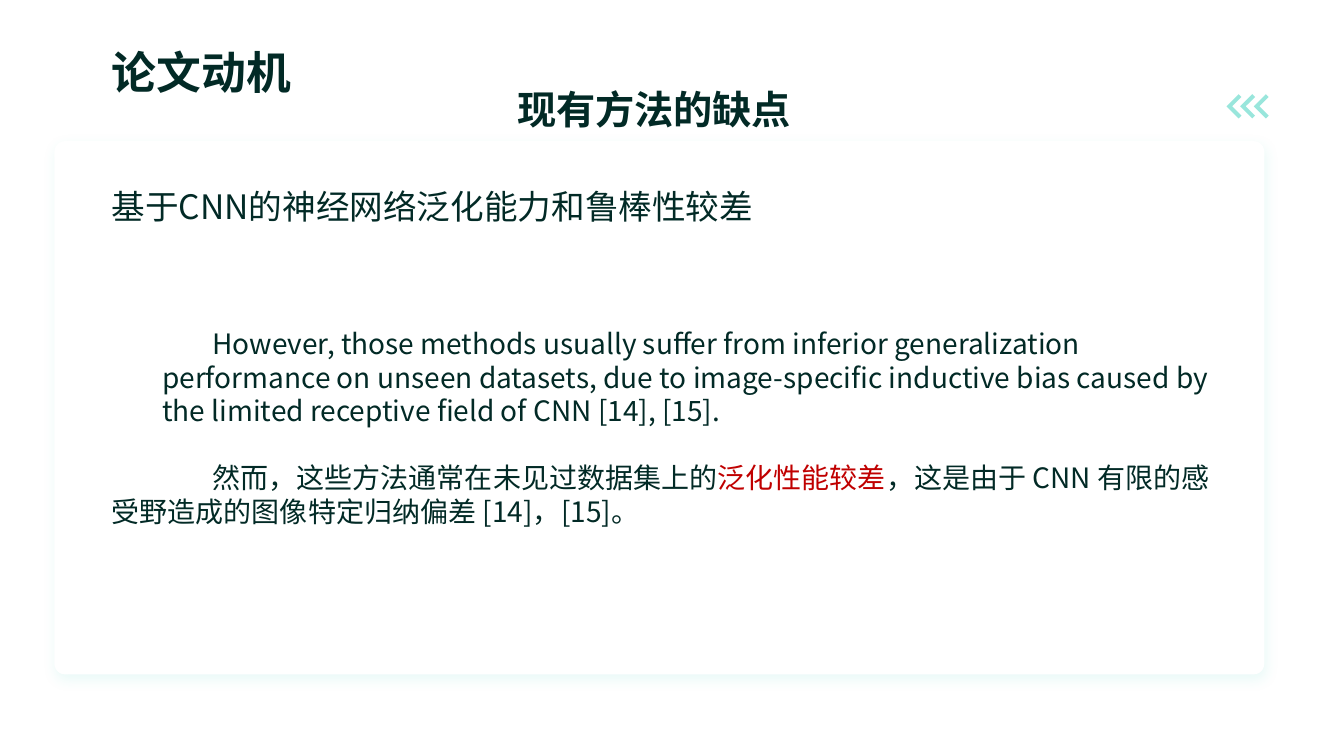
import dataclasses

import lxml.etree
import pptx
import pptx.dml.color
import pptx.enum.shapes
import pptx.enum.text
import pptx.oxml.ns
import pptx.util

Inches = pptx.util.Inches
Pt = pptx.util.Pt


@dataclasses.dataclass(frozen=True)
class Theme:
    """Colours, font and type sizes of the slide."""
    ink: str = "022A26"
    accent: str = "35CEBA"
    warning: str = "C00000"
    paper: str = "FFFFFF"
    font: str = "Noto Sans CJK SC"
    title: int = 32
    subtitle: int = 28
    heading: int = 24
    body: int = 20


THEME = Theme()


def rgb(value):
    """Turn a hex string into a colour."""
    return pptx.dml.color.RGBColor.from_string(value)


def add_element(parent, tag, **attributes):
    """Append a DrawingML element to a parent."""
    element = lxml.etree.SubElement(parent, pptx.oxml.ns.qn(tag))
    for name, value in attributes.items():
        element.set(name, str(value))
    return element


def style_paragraph(paragraph, size, bold=False):
    """Set the font of a paragraph in both scripts."""
    font = paragraph.font
    font.name, font.size, font.bold = THEME.font, Pt(size), bold
    font.color.rgb = rgb(THEME.ink)
    add_element(font._element, "a:ea", typeface=THEME.font)


def add_shape(slide, kind, left, top, width, height, color, adjustments):
    """Draw a filled preset shape without outline or shadow."""
    shape = slide.shapes.add_shape(
        kind, Inches(left), Inches(top), Inches(width), Inches(height))
    shape.shadow.inherit = False
    shape.fill.solid()
    shape.fill.fore_color.rgb = rgb(color)
    shape.line.fill.background()
    for index, value in enumerate(adjustments):
        shape.adjustments[index] = value
    return shape


def add_card(slide, left, top, width, height):
    """Draw the white card with its soft shadow."""
    card = add_shape(slide, pptx.enum.shapes.MSO_SHAPE.ROUNDED_RECTANGLE,
                     left, top, width, height, THEME.paper, [0.02])
    effects = card._element.spPr.find(pptx.oxml.ns.qn("a:effectLst"))
    shadow = add_element(effects, "a:outerShdw", blurRad=Pt(9), dist=Pt(4),
                         dir=70 * 60000, algn="t", rotWithShape=0)
    color = add_element(shadow, "a:srgbClr", val=THEME.accent)
    add_element(color, "a:alpha", val=9000)


def add_chevrons(slide, left, top, size, step, count=3):
    """Draw a row of half-transparent chevrons pointing left."""
    for index in range(count):
        chevron = add_shape(slide, pptx.enum.shapes.MSO_SHAPE.HALF_FRAME,
                            left + index * step, top, size, size,
                            THEME.accent, [0.23, 0.23])
        chevron.rotation = 45
        properties = chevron._element.spPr
        properties.find(pptx.oxml.ns.qn("a:prstGeom")).set("prst", "corner")
        color = properties.find(".//" + pptx.oxml.ns.qn("a:srgbClr"))
        add_element(color, "a:alpha", val=50000)


def add_title(slide, text, left, top, width, height):
    """Place and format the slide title."""
    title = slide.shapes.title
    title.left, title.top = Inches(left), Inches(top)
    title.width, title.height = Inches(width), Inches(height)
    title.text_frame.text = text
    title.text_frame.vertical_anchor = pptx.enum.text.MSO_ANCHOR.MIDDLE
    paragraph = title.text_frame.paragraphs[0]
    paragraph.alignment = pptx.enum.text.PP_ALIGN.LEFT
    paragraph.line_spacing = 1.2
    style_paragraph(paragraph, THEME.title, bold=True)


def add_subtitle(slide, text, left, top, width, height):
    """Write the bold subtitle on one line."""
    box = slide.shapes.add_textbox(
        Inches(left), Inches(top), Inches(width), Inches(height))
    box.text_frame.word_wrap = False
    box.text_frame.text = text
    style_paragraph(box.text_frame.paragraphs[0], THEME.subtitle, bold=True)


def add_body(slide, left, top, width, height):
    """Write the heading, the quotation and its translation."""
    box = slide.shapes.add_textbox(
        Inches(left), Inches(top), Inches(width), Inches(height))
    frame = box.text_frame
    frame.word_wrap = True
    paragraphs = (
        (["基于CNN的神经网络泛化能力和鲁棒性较差"], THEME.heading, 0, 0, 0),
        (["However, those methods usually suffer from inferior generalization "
          "performance on unseen datasets, due to image-specific inductive bias "
          "caused by the limited receptive field of CNN [14], [15]."],
         THEME.body, 72, 0.5, 0.5),
        (["然而，这些方法通常在未见过数据集上的", "泛化性能较差",
          "，这是由于 CNN 有限的感受野造成的图像特定归纳偏差 [14]，[15]。"],
         THEME.body, 24, 0, 1),
    )
    for index, (runs, size, gap, margin, indent) in enumerate(paragraphs):
        paragraph = frame.add_paragraph() if index else frame.paragraphs[0]
        properties = paragraph._p.get_or_add_pPr()
        properties.set("marL", str(Inches(margin)))
        properties.set("indent", str(Inches(indent)))
        if gap:
            paragraph.space_before = Pt(gap)
        style_paragraph(paragraph, size)
        for text in runs:
            paragraph.add_run().text = text
    frame.paragraphs[-1].runs[1].font.color.rgb = rgb(THEME.warning)


def add_motivation_slide(presentation):
    """Build the slide on the motivation of the paper."""
    slide = presentation.slides.add_slide(presentation.slide_layouts[5])
    add_card(slide, 0.54, 1.4, 12, 5.29)
    add_chevrons(slide, 12.2, 0.97, 0.17, 0.135)
    add_title(slide, "论文动机", 1.01, 0.26, 11.5, 0.79)
    add_subtitle(slide, "现有方法的缺点", 5.03, 0.8, 2.95, 0.57)
    add_body(slide, 1.01, 1.79, 11.16, 4.48)


def main():
    """Create and save the presentation."""
    presentation = pptx.Presentation()
    presentation.slide_width = Inches(13.33)
    presentation.slide_height = Inches(7.5)
    add_motivation_slide(presentation)
    presentation.save("out.pptx")


if __name__ == "__main__":
    main()
